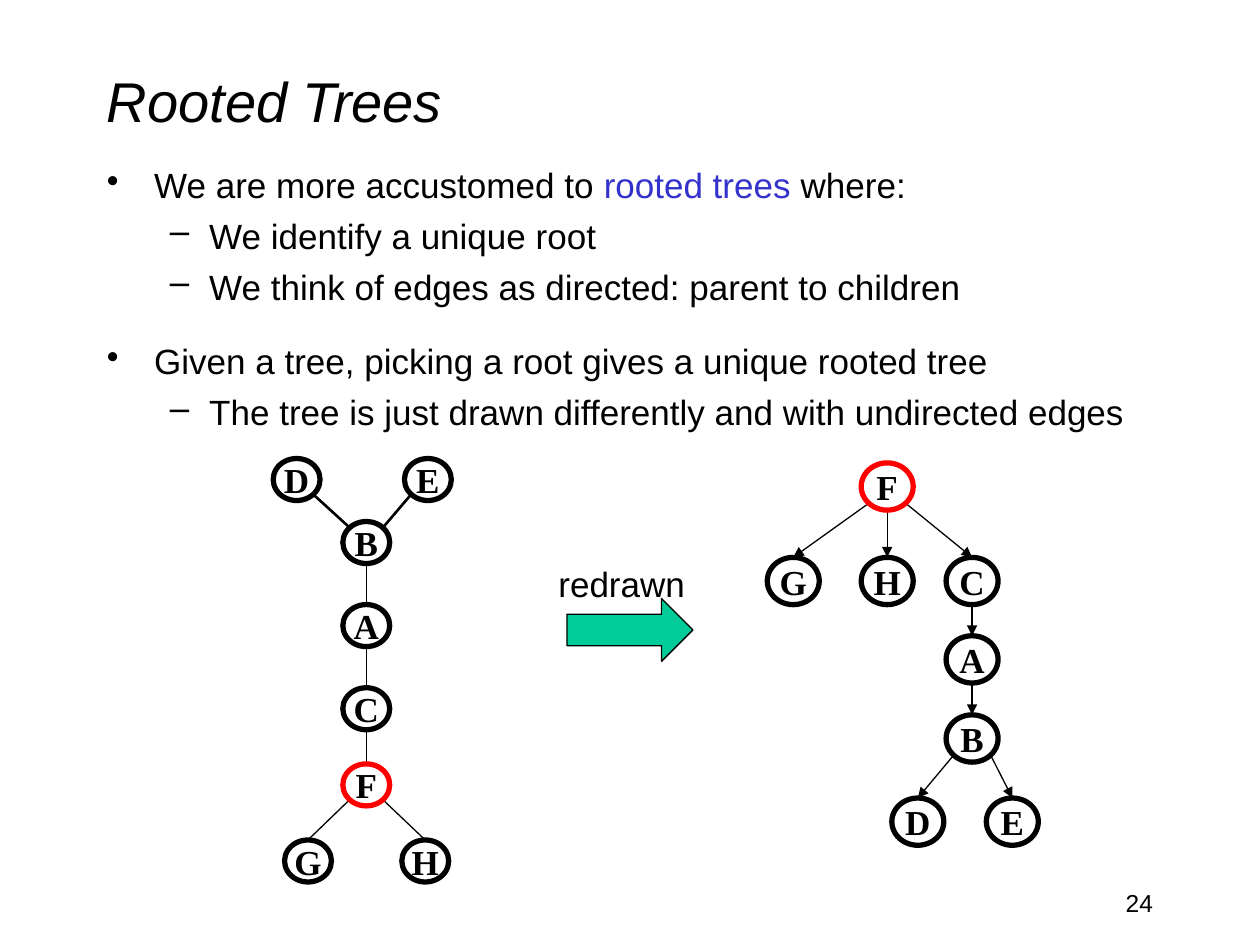
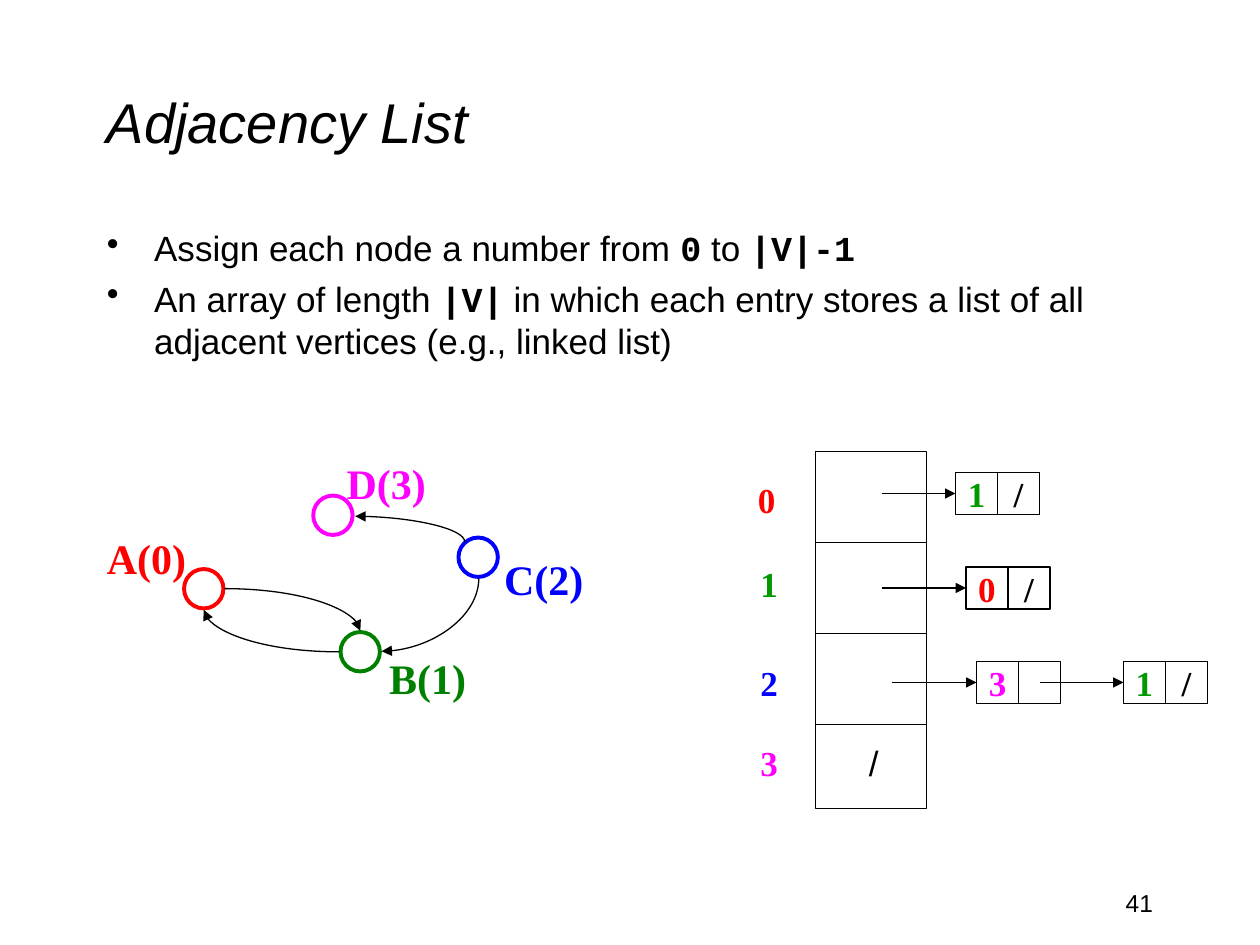
from lxml.etree import SubElement
from pptx import Presentation
from pptx.dml.color import RGBColor
from pptx.enum.shapes import MSO_CONNECTOR as Connector, MSO_SHAPE as Shape
from pptx.enum.text import MSO_ANCHOR as Anchor, PP_ALIGN as Align
from pptx.oxml.ns import qn
from pptx.util import Pt

COLORS = {"black": "000000", "white": "FFFFFF", "term": "3333CC", "red": "FF0000",
          "green": "009900", "dark green": "008000", "blue": "0000FF",
          "magenta": "FF00FF", "teal": "00CC99"}
SANS, SERIF, MONO = "Arial", "Times New Roman", "Courier New"
TERM = {"color": "term"}
CODE = {"font": MONO, "bold": True}
# Per level: bullet character, left margin, hanging indent
BULLETS = [("•", 27, 27), ("–", 58.5, 22.5)]
CELL = 24


def rgb(name):
    return RGBColor.from_string(COLORS[name])


class Deck:
    def __init__(self):
        self.prs = Presentation()
        self.prs.slide_width, self.prs.slide_height = Pt(720), Pt(540)

    def add_slide(self, title, number, title_top):
        self.slide = self.prs.slides.add_slide(self.prs.slide_layouts[6])
        self.text(title, 54, title_top, 612, 90, size=32, italic=True, anchor=Anchor.MIDDLE)
        self.text(number, 516, 504, 150, 36, size=14, align=Align.RIGHT)

    def format(self, run, size=20, font=SANS, color="black", bold=False, italic=False):
        run.font.size, run.font.name = Pt(size), font
        run.font.bold, run.font.italic = bold, italic
        run.font.color.rgb = rgb(color)

    def fill_text(self, frame, words, align, anchor, **style):
        frame.text = words
        frame.vertical_anchor = anchor
        frame.paragraphs[0].alignment = align
        for run in frame.paragraphs[0].runs:
            self.format(run, **style)

    def text(self, words, x, y, w, h, align=Align.LEFT, anchor=Anchor.TOP, **style):
        frame = self.slide.shapes.add_textbox(Pt(x), Pt(y), Pt(w), Pt(h)).text_frame
        frame.word_wrap = False
        self.fill_text(frame, words, align, anchor, **style)

    def bullets(self, y, h, items):
        """Each item is (level, space before, [(words, style), ...])."""
        frame = self.slide.shapes.add_textbox(Pt(54), Pt(y), Pt(612), Pt(h)).text_frame
        frame.word_wrap = True
        for i, (level, gap, pieces) in enumerate(items):
            para = frame.add_paragraph() if i else frame.paragraphs[0]
            para.level, para.space_before = level, Pt(gap)
            mark, margin, hang = BULLETS[level]
            props = para._p.get_or_add_pPr()
            props.set("marL", str(Pt(margin)))
            props.set("indent", str(-Pt(hang)))
            SubElement(props, qn("a:buChar")).set("char", mark)
            for words, style in pieces:
                run = para.add_run()
                run.text = words
                self.format(run, **style)

    def shape(self, kind, x, y, w, h, words="", fill=None, line="black", weight=0.75, **style):
        shape = self.slide.shapes.add_shape(kind, Pt(x), Pt(y), Pt(w), Pt(h))
        shape.shadow.inherit = False
        if fill:
            shape.fill.solid()
            shape.fill.fore_color.rgb = rgb(fill)
        else:
            shape.fill.background()
        shape.line.color.rgb = rgb(line)
        shape.line.width = Pt(weight)
        if words:
            shape.text_frame.word_wrap = False
            self.fill_text(shape.text_frame, words, Align.CENTER, Anchor.MIDDLE,
                           font=SERIF, bold=True, **style)

    def line(self, start, end, arrow=None, weight=0.75, curved=False):
        """arrow is None, "headEnd" (at start) or "tailEnd" (at end)."""
        kind = Connector.CURVE if curved else Connector.STRAIGHT
        link = self.slide.shapes.add_connector(kind, *map(Pt, (*start, *end)))
        link.line.color.rgb = rgb("black")
        link.line.width = Pt(weight)
        props = link._element.spPr
        if curved:
            props.find(qn("a:prstGeom")).set("prst", "curvedConnector2")
        if arrow:
            SubElement(link.line._get_or_add_ln(), qn(f"a:{arrow}")).set("type", "triangle")
        SubElement(props, qn("a:effectLst"))

    def tree(self, centers, edges, w, h, root, arrow=None):
        """Each edge is (upper, lower, weight, whether it ends at the lower node's side)."""
        for upper, lower, weight, to_side in edges:
            (x1, y1), (x2, y2) = centers[upper], centers[lower]
            side = (x2 > x1) - (x2 < x1)
            corner_x, corner_y = side * 0.36 * w, (0.36 if side else 0.5) * h
            start = (x1 + corner_x, y1 + corner_y)
            end = (x2 - corner_x, y2 - corner_y) if to_side else (x2, y2 - h / 2)
            self.line(start, end, arrow, weight)
        for name, (x, y) in centers.items():
            self.shape(Shape.OVAL, x - w / 2, y - h / 2, w, h, name,
                       line="red" if name == root else "black", weight=3)

    def list_node(self, x, y, value, color, following):
        self.shape(Shape.RECTANGLE, x, y, CELL, CELL, value, color=color)
        self.shape(Shape.RECTANGLE, x + CELL, y, CELL, CELL, following)


def rooted_trees(deck):
    deck.add_slide("Rooted Trees", "24", 12)
    deck.bullets(90, 180, [
        (0, 5, [("We are more accustomed to ", {}), ("rooted trees", TERM), (" where:", {})]),
        (1, 5, [("We identify a unique root", {})]),
        (1, 5, [("We think of edges as directed: parent to children", {})]),
        (0, 18.7, [("Given a tree, picking a root gives a unique rooted tree", {})]),
        (1, 5, [("The tree is just drawn differently and with undirected edges", {})]),
    ])

    # Undirected tree
    trunk = 209.3
    deck.tree(
        {"A": (trunk, 357.5), "B": (trunk, 310), "D": (169.5, 274), "E": (244.5, 274),
         "C": (trunk, 405), "F": (trunk, 448.5), "H": (243, 492), "G": (176, 492)},
        [("D", "B", 1.5, True), ("E", "B", 1.5, True)]
        + [(upper, lower, 0.75, False) for upper, lower in ("BA", "AC", "CF", "FG", "FH")],
        26.8, 24, "F")

    # Transition
    deck.shape(Shape.RIGHT_ARROW, 324, 342, 72, 36, fill="teal")
    deck.text("redrawn", 312, 318, 88, 31.5)

    # The same tree, rooted at F
    branch = 555.5
    deck.tree(
        {"F": (507, 278), "G": (453.3, 332), "H": (507, 332), "C": (branch, 332),
         "A": (branch, 376.8), "B": (branch, 422), "D": (524.5, 469.5), "E": (578.5, 469.5)},
        [(parent, child, 0.75, False)
         for parent, child in ("FG", "FH", "FC", "CA", "AB", "BD", "BE")],
        29.7, 27, "F", "tailEnd")


def adjacency_list(deck):
    deck.add_slide("Adjacency List", "41", 24)
    deck.bullets(126, 102, [
        (0, 5, [("Assign each node a number from ", {}), ("0", CODE),
                (" to ", {}), ("|V|-1", CODE)]),
        (0, 5, [("An array of length ", {}), ("|V|", CODE),
                (" in which each entry stores a list of all adjacent vertices "
                 "(e.g., linked list)", {})]),
    ])

    # Array with its indices
    for i, height in enumerate((52, 52, 52, 48)):
        deck.shape(Shape.RECTANGLE, 466, 258 + 52 * i, 63.5, height, fill="white")
    for index, x, y, color in (("0", 426, 270, "red"), ("1", 427.5, 318, "green"),
                               ("2", 427.5, 374.5, "blue"), ("3", 427.5, 420, "magenta")):
        deck.text(index, x, y, 24.5, 31.5, font=SERIF, color=color, bold=True)
    deck.text("/", 489.5, 420, 20, 31.5)

    # Linked lists: pointer start, node position, value, next
    for tail, x, y, value, color, following in (
            (504, 546, 270, "1", "green", "/"), (504, 552, 324, "0", "red", "/"),
            (510, 558, 378, "3", "magenta", ""), (594, 642, 378, "1", "green", "/")):
        deck.list_node(x, y, value, color, following)
        deck.line((tail, y + CELL / 2), (x, y + CELL / 2), "tailEnd")

    # Directed graph: vertex corner, label corner
    for label, x, y, label_x, label_y, color in (
            ("A(0)", 105.2, 325.2, 54, 301, "red"),
            ("B(1)", 194.6, 361.2, 215.3, 369.5, "dark green"),
            ("C(2)", 262, 307.2, 281, 313, "blue"),
            ("D(3)", 179, 283.2, 191, 258, "magenta")):
        deck.shape(Shape.OVAL, x, y, 22.5, 22.5, fill="white", line=color, weight=2.25)
        deck.text(label, label_x, label_y, 60.5, 36.5, size=24, font=SERIF,
                  color=color, bold=True)
    # Each curve leaves its first point horizontally and meets its second vertically
    for start, end, arrow in (
            ((128.2, 336.4), (205.9, 360.5), "tailEnd"),
            ((194, 372.5), (116.5, 348.5), "tailEnd"),
            ((218, 372.2), (273.6, 330.5), "headEnd"),
            ((203, 295), (265.6, 309.6), "headEnd")):
        deck.line(start, end, arrow, curved=True)


def main():
    deck = Deck()
    rooted_trees(deck)
    adjacency_list(deck)
    deck.prs.save("out.pptx")


if __name__ == "__main__":
    main()
